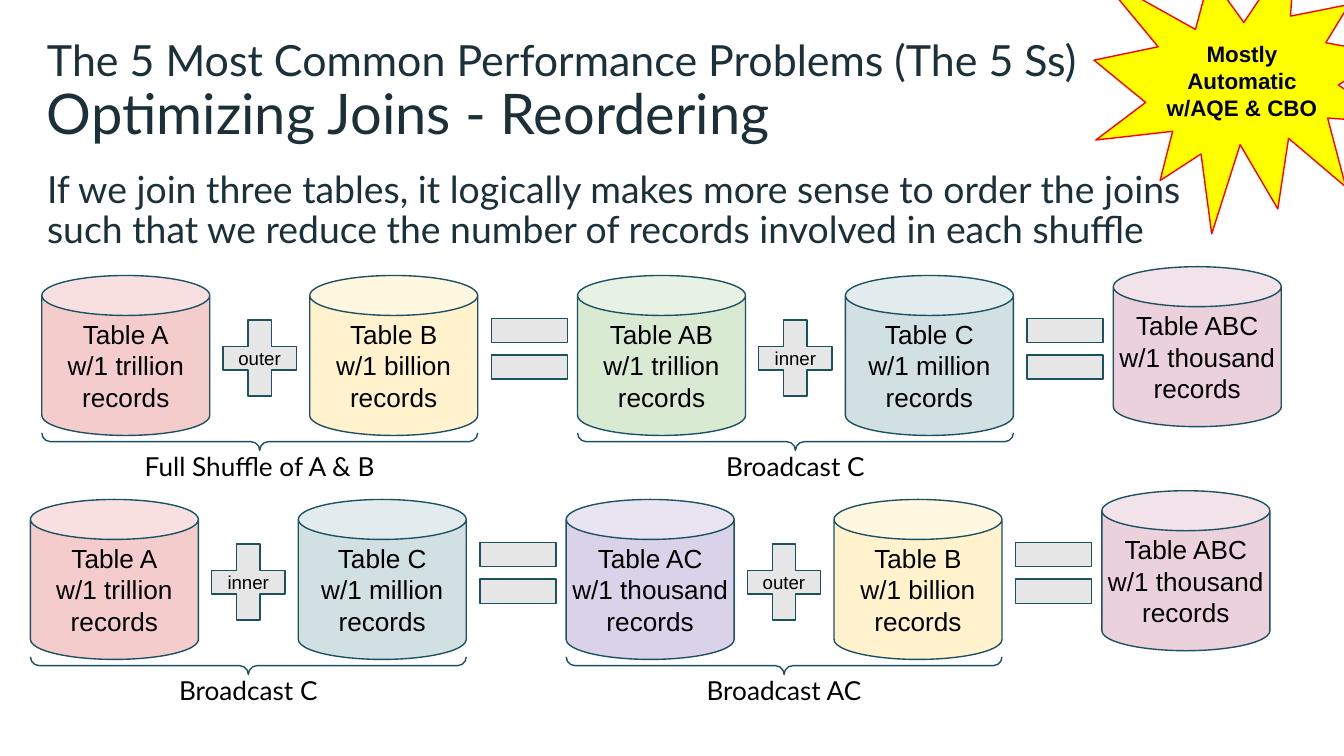
from pptx import Presentation
from pptx.dml.color import RGBColor
from pptx.enum.shapes import MSO_SHAPE
from pptx.enum.text import MSO_ANCHOR, PP_ALIGN
from pptx.util import Pt

INK = RGBColor(0x1B, 0x30, 0x38)
BLACK = RGBColor(0, 0, 0)
OUTLINE = RGBColor(0x1B, 0x51, 0x61)
GREY = RGBColor(0xE7, 0xE6, 0xE6)
YELLOW = RGBColor(0xFF, 0xFF, 0)
RED = RGBColor(0xFF, 0, 0)

TABLE_FILLS = {
    "Table A": RGBColor(0xF4, 0xCC, 0xCC),
    "Table B": RGBColor(0xFF, 0xF2, 0xCC),
    "Table C": RGBColor(0xD0, 0xE0, 0xE3),
    "Table AB": RGBColor(0xD9, 0xEA, 0xD3),
    "Table AC": RGBColor(0xD9, 0xD2, 0xE9),
    "Table ABC": RGBColor(0xEA, 0xD1, 0xDC),
}

CAN_WIDTH, CAN_HEIGHT = 90, 85.7
CAN_PITCH = 143.5
LAST_CAN_LIFT = 4.7
STEP_WIDTH = CAN_PITCH + CAN_WIDTH
BRACE_DEPTH = 9.4


def write(shape, lines, insets=(0, 0, 0, 0), anchor=MSO_ANCHOR.MIDDLE,
          align=PP_ALIGN.CENTER, spacing=None, **font):
    """Write each line as a paragraph; a tuple holds lines joined by breaks."""
    frame = shape.text_frame
    frame.word_wrap = True
    frame.vertical_anchor = anchor
    sides = ("margin_left", "margin_top", "margin_right", "margin_bottom")
    for side, inset in zip(sides, insets):
        setattr(frame, side, Pt(inset))
    color = font.pop("color", BLACK)
    for number, line in enumerate(lines):
        para = frame.add_paragraph() if number else frame.paragraphs[0]
        para.alignment = align
        if spacing:
            para.line_spacing = spacing
        pieces = line if isinstance(line, tuple) else (line,)
        for index, piece in enumerate(pieces):
            if index:
                para.add_line_break()
            span = para.add_run()
            span.text = piece
            span.font.color.rgb = color
            for name, value in font.items():
                setattr(span.font, name, value)


def add_figure(parent, kind, box, fill=None, line=OUTLINE, adjust=()):
    shape = parent.shapes.add_shape(kind, *map(Pt, box))
    shape.shadow.inherit = False
    if fill is None:
        shape.fill.background()
    else:
        shape.fill.solid()
        shape.fill.fore_color.rgb = fill
    shape.line.color.rgb = line
    shape.line.width = Pt(0.75)
    for index, value in enumerate(adjust):
        shape.adjustments[index] = value
    return shape


def add_text(parent, box, lines, **style):
    write(parent.shapes.add_textbox(*map(Pt, box)), lines,
          anchor=MSO_ANCHOR.TOP, name="Lato", **style)


def add_heading(page, left, top, width):
    style = {"align": PP_ALIGN.LEFT, "color": INK}
    inset = (25.2, 0, 0, 0)
    # Title and subtitle
    add_text(page, (left, top, width, 36),
             ["The 5 Most Common Performance Problems (The 5 Ss)"],
             insets=inset, size=Pt(23), **style)
    add_text(page, (left, top + 24, width, 36),
             ["Optimizing Joins - Reordering"],
             insets=inset, size=Pt(30), **style)
    # Explanation
    add_text(page, (left + 25.2, top + 70.5, width - 25.2, 55.5),
             [("If we join three tables, it logically makes more sense to order the joins ",
               "such that we reduce the number of records involved in each shuffle")],
             insets=(0, 3, 0, 3), size=Pt(20), spacing=0.9, **style)


def add_can(parent, left, top, table, count):
    can = add_figure(parent, MSO_SHAPE.CAN, (left, top, CAN_WIDTH, CAN_HEIGHT),
                     TABLE_FILLS[table], adjust=(0.25,))
    write(can, [table, f"w/1 {count}", "records"], size=Pt(14), name="Arial")


def add_plus(parent, left, top, join):
    plus = add_figure(parent, MSO_SHAPE.MATH_PLUS,
                      (left, top + 16.6, 53.4, 55.4), GREY, adjust=(0.235,))
    write(plus, [join], insets=(7.2,) * 4, size=Pt(10), name="Arial")


def add_equal(parent, left, top):
    add_figure(parent, MSO_SHAPE.MATH_EQUAL, (left, top + 11.6, 55.4, 55.4),
               GREY, adjust=(0.235, 0.118))


def add_brace(parent, left, top, caption):
    # The brace is drawn upright and turned about its centre
    middle_x, middle_y = left + STEP_WIDTH / 2, top + 89
    brace = add_figure(parent, MSO_SHAPE.LEFT_BRACE,
                       (middle_x - BRACE_DEPTH / 2, middle_y - STEP_WIDTH / 2,
                        BRACE_DEPTH, STEP_WIDTH), adjust=(0.5, 0.5))
    brace.rotation = 270
    add_text(parent, (left, top + 86.4, STEP_WIDTH, 31.7), [caption],
             insets=(7.2,) * 4, size=Pt(14))


def add_join_row(page, left, top, tables, joins, captions):
    """Two joins in sequence: the result of the first feeds the second."""
    first, second = (page.shapes.add_group_shape() for _ in joins)
    # Tables, with the final result raised a little
    for index, (table, count) in enumerate(tables):
        group = first if index < 3 else second
        lift = LAST_CAN_LIFT if index == len(tables) - 1 else 0
        add_can(group, left + index * CAN_PITCH, top - lift, table, count)
    # Operators, braces and captions of each join
    for step, group in enumerate((first, second)):
        start = left + step * 2 * CAN_PITCH
        add_plus(group, start + CAN_WIDTH, top, joins[step])
        add_equal(group, start + STEP_WIDTH, top)
        add_brace(group, start, top, captions[step])


def add_burst(page, box):
    burst = add_figure(page, MSO_SHAPE.EXPLOSION1, box, YELLOW, RED)
    write(burst, ["Mostly", "Automatic w/AQE & CBO"],
          size=Pt(12), name="Arial", bold=True)


def main():
    deck = Presentation()
    deck.slide_width, deck.slide_height = Pt(720), Pt(405)
    page = deck.slides.add_slide(deck.slide_layouts[6])

    add_heading(page, 0, 18, 720)
    # Original order
    add_join_row(page, 22.4, 147.6,
                 [("Table A", "trillion"), ("Table B", "billion"),
                  ("Table AB", "trillion"), ("Table C", "million"),
                  ("Table ABC", "thousand")],
                 ("outer", "inner"), ("Full Shuffle of A & B", "Broadcast C"))
    # Improved order
    add_join_row(page, 16.3, 267.6,
                 [("Table A", "trillion"), ("Table C", "million"),
                  ("Table AC", "thousand"), ("Table B", "billion"),
                  ("Table ABC", "thousand")],
                 ("inner", "outer"), ("Broadcast C", "Broadcast AC"))
    add_burst(page, (586.1, -29.5, 160.6, 154.8))

    deck.save("out.pptx")


if __name__ == "__main__":
    main()
